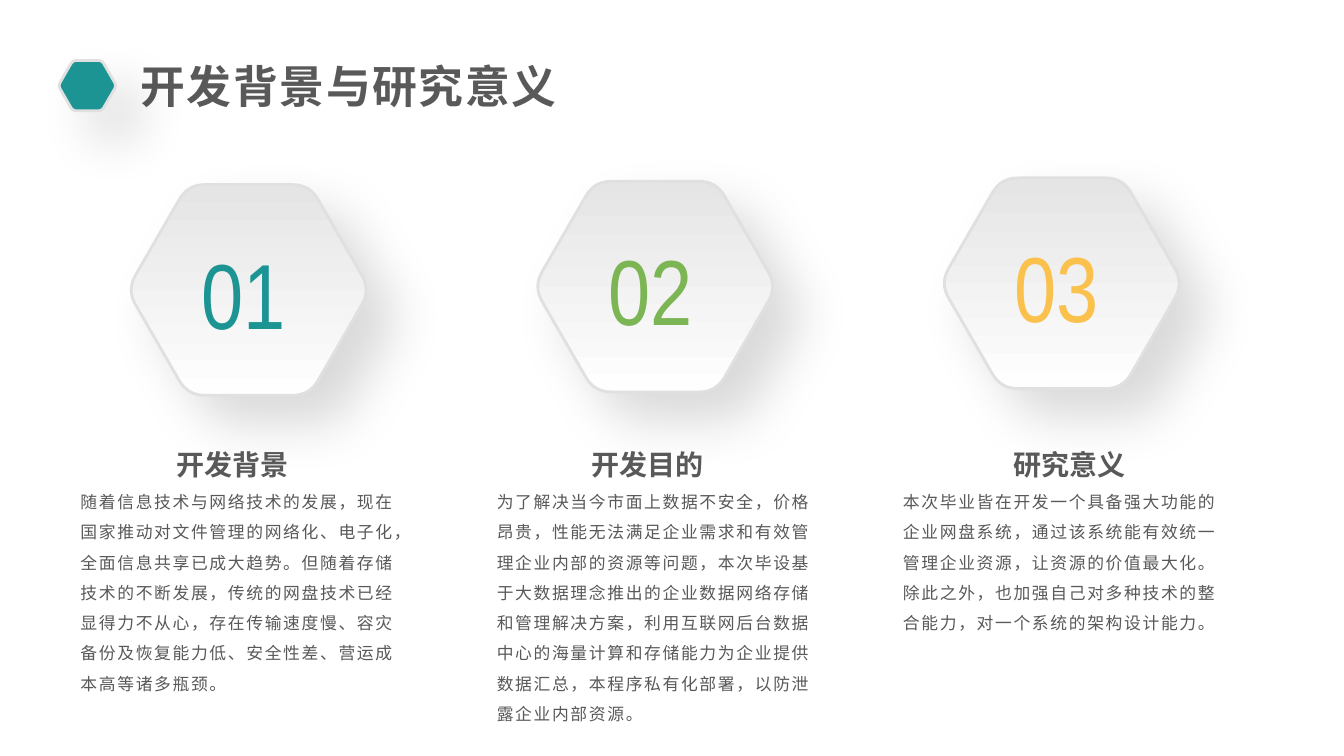
from math import cos, radians, sin, sqrt

from lxml import etree
from pptx import Presentation
from pptx.dml.color import RGBColor
from pptx.enum.text import MSO_ANCHOR, MSO_AUTO_SIZE, PP_ALIGN
from pptx.oxml.ns import qn
from pptx.util import Emu, Pt

LEFT, TOP = PP_ALIGN.LEFT, MSO_ANCHOR.TOP
NO_AUTOFIT = MSO_AUTO_SIZE.NONE
CELL = 304800  # grid cell: 40 columns by 22.5 rows
COLUMNS, ROWS = 40, 22.5
CJK, NUMERAL = "Noto Sans CJK SC", "Arial Narrow"
GREY, TEAL, GREEN, AMBER = "595959", "1C9494", "7CB554", "FAC14D"


def grid(cells):
    return Emu(round(cells * CELL))


def colour(value):
    return RGBColor.from_string(value)


def write(frame, text, *, size, font=CJK, color=GREY, bold=False,
          spacing=0, line_spacing=1.0, wrap=True):
    frame.word_wrap = wrap
    frame.auto_size = NO_AUTOFIT
    frame.vertical_anchor = TOP
    paragraph = frame.paragraphs[0]
    paragraph.alignment = LEFT
    paragraph.line_spacing = line_spacing
    run = paragraph.add_run()
    run.text = text
    run.font.size, run.font.bold, run.font.name = Pt(size), bold, font
    run.font.color.rgb = colour(color)
    properties = run._r.get_or_add_rPr()
    properties.set("spc", str(round(spacing * 100)))
    etree.SubElement(properties, qn("a:ea"), typeface=font)


def shade_fill(fill, start, end):
    fill.gradient()
    fill.gradient_angle = 270
    for stop, position, value in zip(fill.gradient_stops, (0, 1), (start, end)):
        stop.position = position
        stop.color.rgb = colour(value)


def shade_line(shape, start, end):
    shape.line.width = Pt(2)
    shape.line.fill.gradient()
    gradient = shape._element.spPr.find(qn("a:ln")).find(qn("a:gradFill"))
    for child in list(gradient):
        gradient.remove(child)
    stops = etree.SubElement(gradient, qn("a:gsLst"))
    for position, value in (("0", start), ("100000", end)):
        stop = etree.SubElement(stops, qn("a:gs"), pos=position)
        etree.SubElement(stop, qn("a:srgbClr"), val=value)
    etree.SubElement(gradient, qn("a:lin"), ang="5400000", scaled="0")


def soft_shadow(shape):
    shape.shadow.inherit = False
    effects = shape._element.spPr.find(qn("a:effectLst"))
    shadow = etree.SubElement(
        effects, qn("a:outerShdw"), blurRad=str(int(Pt(38))), dist=str(int(Pt(27))),
        dir="2700000", algn="tl", rotWithShape="0")
    black = etree.SubElement(shadow, qn("a:srgbClr"), val="000000")
    etree.SubElement(black, qn("a:alpha"), val="15000")


def rounded_hexagon(center_x, center_y, height, cut=0.14, steps=8):
    """Points of a flat-topped hexagon whose corners are quadratic curves."""
    side = height / sqrt(3)
    corners = [(center_x + side * cos(radians(60 * i)),
                center_y + side * sin(radians(60 * i))) for i in range(6)]
    points = []
    for i, corner in enumerate(corners):
        before, after = corners[i - 1], corners[(i + 1) % 6]
        start = [c + (b - c) * cut for c, b in zip(corner, before)]
        end = [c + (a - c) * cut for c, a in zip(corner, after)]
        for step in range(steps + 1):
            t = step / steps
            points.append(tuple(
                grid((1 - t) ** 2 * s + 2 * t * (1 - t) * c + t * t * e)
                for s, c, e in zip(start, corner, end)))
    return points


class Page:
    def __init__(self, presentation):
        self.slide = presentation.slides.add_slide(presentation.slide_layouts[5])

    def title(self, text, left, top, width, height):
        heading = self.slide.shapes.title
        heading.left, heading.top = grid(left), grid(top)
        heading.width, heading.height = grid(width), grid(height)
        write(heading.text_frame, text, size=32, bold=True, spacing=1.2, wrap=False)

    def text(self, text, left, top, width, height, **style):
        box = self.slide.shapes.add_textbox(
            grid(left), grid(top), grid(width), grid(height))
        write(box.text_frame, text, **style)

    def hexagon(self, center_x, center_y, height, fill=None):
        start, *rest = rounded_hexagon(center_x, center_y, height)
        builder = self.slide.shapes.build_freeform(*start)
        builder.add_line_segments(rest, close=True)
        shape = builder.convert_to_shape()
        if fill:
            shape.fill.solid()
            shape.fill.fore_color.rgb = colour(fill)
        else:
            shade_fill(shape.fill, "E5E5E5", "FEFEFE")
        shade_line(shape, "E0E0E0", "FFFFFF")
        soft_shadow(shape)


# Number colour, heading, heading left, body left, body height, body
TOPICS = [
    (TEAL, "开发背景", 4.95, 2.1, 6.57,
     "随着信息技术与网络技术的发展，现在国家推动对文件管理的网络化、电子化，"
     "全面信息共享已成大趋势。但随着存储技术的不断发展，传统的网盘技术已经"
     "显得力不从心，存在传输速度慢、容灾备份及恢复能力低、安全性差、营运成"
     "本高等诸多瓶颈。"),
    (GREEN, "开发目的", 17.31, 14.49, 7.47,
     "为了解决当今市面上数据不安全，价格昂贵，性能无法满足企业需求和有效管"
     "理企业内部的资源等问题，本次毕设基于大数据理念推出的企业数据网络存储"
     "和管理解决方案，利用互联网后台数据中心的海量计算和存储能力为企业提供"
     "数据汇总，本程序私有化部署，以防泄露企业内部资源。"),
    (AMBER, "研究意义", 29.88, 26.58, 4.86,
     "本次毕业皆在开发一个具备强大功能的企业网盘系统，通过该系统能有效统一"
     "管理企业资源，让资源的价值最大化。除此之外，也加强自己对多种技术的整"
     "合能力，对一个系统的架构设计能力。"),
]


def main():
    presentation = Presentation()
    presentation.slide_width, presentation.slide_height = grid(COLUMNS), grid(ROWS)
    page = Page(presentation)

    # Title with its marker
    page.title("开发背景与研究意义", 3.87, 1.6, 13.17, 1.92)
    page.hexagon(2.6, 2.55, 1.5, fill=TEAL)

    # Three topics: numbered hexagon, heading and body
    for i, (color, heading, heading_left, body_left, body_height, body) in enumerate(TOPICS):
        across, rise = 12.1 * i, 0.1 * i
        page.hexagon(7.4 + across, 8.63 - rise, 6.27)
        page.text(f"{i + 1:02}", 5.7 + across, 6.9 - rise, 3.5, 3.63,
                  size=66, font=NUMERAL, color=color, wrap=False)
        page.text(heading, heading_left, 13.17, 6.48, 1.32, size=20, bold=True)
        page.text(body, body_left, 14.19, 10, body_height,
                  size=12, spacing=1.2, line_spacing=1.5)

    presentation.save("out.pptx")


if __name__ == "__main__":
    main()
